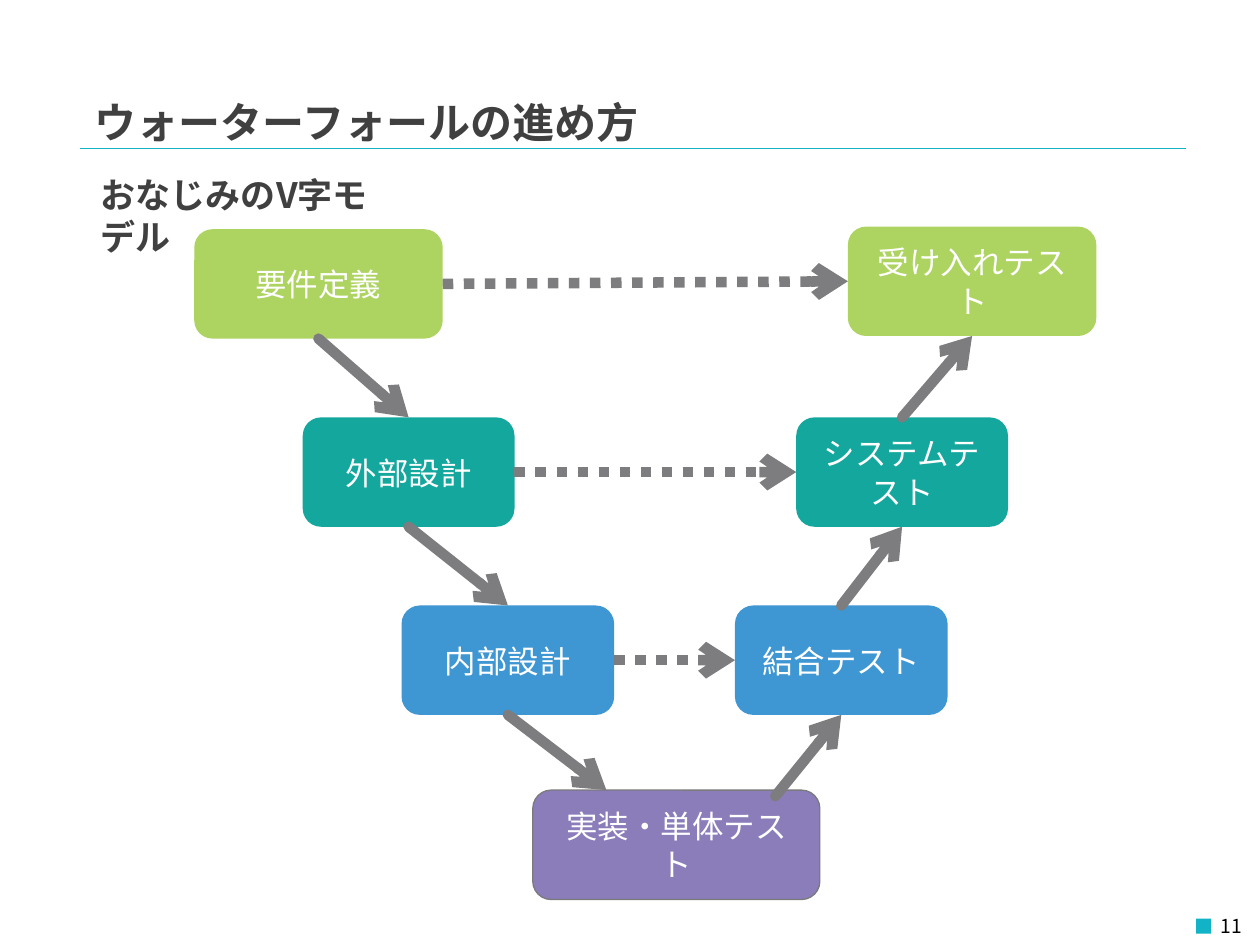
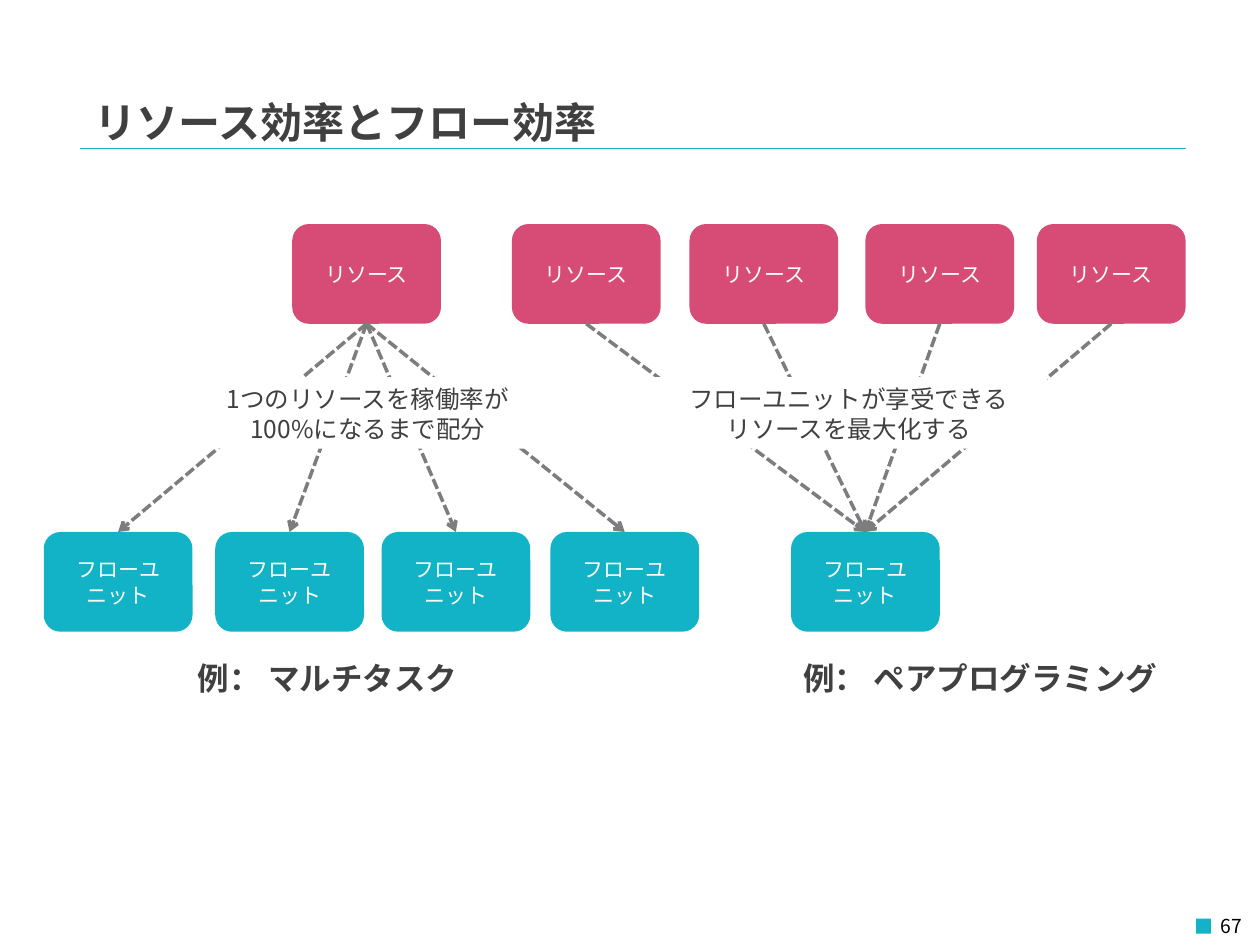
from collections import namedtuple
from dataclasses import dataclass

from lxml import etree
from pptx import Presentation
from pptx.dml.color import RGBColor
from pptx.enum.dml import MSO_LINE
from pptx.enum.shapes import MSO_CONNECTOR, MSO_SHAPE
from pptx.enum.text import MSO_ANCHOR, MSO_AUTO_SIZE, PP_ALIGN
from pptx.oxml.ns import qn
from pptx.util import Pt

LEFT, CENTER, RIGHT = PP_ALIGN.LEFT, PP_ALIGN.CENTER, PP_ALIGN.RIGHT
TOP_ANCHOR, MIDDLE_ANCHOR = MSO_ANCHOR.TOP, MSO_ANCHOR.MIDDLE
ROUNDED, RECTANGLE = MSO_SHAPE.ROUNDED_RECTANGLE, MSO_SHAPE.RECTANGLE
STRAIGHT = MSO_CONNECTOR.STRAIGHT
DOTTED, DASHED = MSO_LINE.ROUND_DOT, MSO_LINE.SQUARE_DOT
NO_AUTOFIT = MSO_AUTO_SIZE.NONE
TITLE_ONLY = 5
TOP_SITE, LEFT_SITE, BOTTOM_SITE, RIGHT_SITE = range(4)

Box = namedtuple("Box", "left top width height")


@dataclass(frozen=True)
class Theme:
    """Colours, fonts and type sizes shared by the slides."""

    accent: str = "12B3C7"
    text: str = "404040"
    number: str = "000000"
    white: str = "FFFFFF"
    arrow: str = "7D7D7F"
    outline: str = "7A7A7C"
    green: str = "ADD361"
    teal: str = "14A79D"
    blue: str = "3E96D2"
    purple: str = "8B7CBA"
    pink: str = "D74C77"
    heading_font: str = "Noto Sans CJK JP"
    body_font: str = "Noto Sans CJK KR"
    title_size: int = 24
    subtitle_size: int = 20
    large_size: int = 18
    note_size: int = 14
    small_size: int = 12
    number_size: int = 11
    line_height: float = 1.22


THEME = Theme()


def color(value):
    """Turn a hexadecimal string into a colour."""
    return RGBColor.from_string(value)


def lengths(box):
    """Turn a box in points into lengths."""
    return [Pt(value) for value in box]


def write(shape, text, size, fill, font, bold=False, align=LEFT, anchor=TOP_ANCHOR):
    """Put formatted text into a shape."""
    frame = shape.text_frame
    frame.text = text
    frame.word_wrap = True
    frame.auto_size = NO_AUTOFIT
    frame.vertical_anchor = anchor
    for paragraph in frame.paragraphs:
        paragraph.alignment = align
        paragraph.line_spacing = Pt(size * THEME.line_height)
        for run in paragraph.runs:
            run.font.size = Pt(size)
            run.font.bold = bold
            run.font.color.rgb = color(fill)
            run.font.name = font
            east_asian = etree.Element(qn("a:ea"), typeface=font)
            run.font._element.find(qn("a:latin")).addnext(east_asian)


def add_heading(slide, text, box, size):
    """Add a bold heading in a text box."""
    shape = slide.shapes.add_textbox(*lengths(box))
    write(shape, text, size, THEME.text, THEME.heading_font, bold=True)


def add_block(slide, kind, box, fill, outline=None):
    """Add a filled shape without a shadow."""
    shape = slide.shapes.add_shape(kind, *lengths(box))
    shape.shadow.inherit = False
    shape.fill.solid()
    shape.fill.fore_color.rgb = color(fill)
    if outline:
        shape.line.color.rgb = color(outline)
        shape.line.width = Pt(0.75)
    else:
        shape.line.fill.background()
    return shape


def add_card(slide, text, box, fill, size, outline=None):
    """Add a rounded card with centred white text."""
    card = add_block(slide, ROUNDED, box, fill, outline)
    write(card, text, size, THEME.white, THEME.body_font,
          align=CENTER, anchor=MIDDLE_ANCHOR)
    return card


def add_note(slide, text, box):
    """Add a white label that covers the arrows behind it."""
    note = add_block(slide, RECTANGLE, box, THEME.white)
    write(note, text, THEME.note_size, THEME.text, THEME.body_font, align=CENTER)


def add_line(slide, start, end, line_color, width):
    """Add a straight line without a shadow."""
    line = slide.shapes.add_connector(STRAIGHT, *lengths((*start, *end)))
    line.line.color.rgb = color(line_color)
    line.line.width = Pt(width)
    etree.SubElement(line._element.spPr, qn("a:effectLst"))
    return line


def add_arrow(slide, start, end, width, dash=None):
    """Add an arrow whose ends are points or (card, site) pairs."""
    points = [(0, 0) if hasattr(place[0], "shape_id") else place for place in (start, end)]
    arrow = add_line(slide, *points, THEME.arrow, width)
    if hasattr(start[0], "shape_id"):
        arrow.begin_connect(*start)
    if hasattr(end[0], "shape_id"):
        arrow.end_connect(*end)
    outline = arrow.line._get_or_add_ln()
    if dash:
        arrow.line.dash_style = dash
    else:
        outline.set("cap", "rnd")
    etree.SubElement(outline, qn("a:tailEnd"), type="arrow")


def add_frame(presentation, title, number):
    """Add a slide with its title, rule and page number."""
    slide = presentation.slides.add_slide(presentation.slide_layouts[TITLE_ONLY])
    add_line(slide, (45.5, 85), (677.5, 85), THEME.accent, 0.25)
    add_block(slide, RECTANGLE, Box(683.5, 525, 8.5, 8.5), THEME.accent)
    page = slide.shapes.add_textbox(*lengths(Box(617, 518.5, 100, 21.5)))
    write(page, number, THEME.number_size, THEME.number, THEME.heading_font, align=RIGHT)
    heading = slide.shapes.title
    heading.left, heading.top, heading.width, heading.height = lengths(Box(47, 51, 459, 28))
    write(heading, title, THEME.title_size, THEME.text, THEME.heading_font, bold=True)
    return slide


def add_v_model(slide, box):
    """Draw the V of design steps and the tests that answer them."""
    height, step = 62.5, 107.5
    levels = [
        ("要件定義", 0, "受け入れテスト", 373.5, 142, THEME.green, -1.5),
        ("外部設計", 62, "システムテスト", 344, 121, THEME.teal, 0),
        ("内部設計", 118.5, "結合テスト", 309, 121.5, THEME.blue, 0),
    ]
    designs, tests = [], []
    for index, (design, design_x, test, test_x, width, fill, lift) in enumerate(levels):
        top = box.top + index * step
        designs.append(add_card(slide, design, Box(box.left + design_x, top, width, height),
                                fill, THEME.large_size))
        tests.append(add_card(slide, test, Box(box.left + test_x, top + lift, width, height),
                              fill, THEME.large_size))
    base = Box(box.left + 193.5, box.top + box.height - height, 164, height)
    add_card(slide, "実装・単体テスト", base, THEME.purple, THEME.large_size, THEME.outline)

    for upper, lower in zip(designs, designs[1:]):
        add_arrow(slide, (upper, BOTTOM_SITE), (lower, TOP_SITE), 6)
    add_arrow(slide, (designs[-1], BOTTOM_SITE), (base.left + 42, base.top), 6)
    add_arrow(slide, (base.left + 138.5, base.top + 3.5), (tests[-1], BOTTOM_SITE), 6)
    for upper, lower in zip(tests, tests[1:]):
        add_arrow(slide, (lower, TOP_SITE), (upper, BOTTOM_SITE), 6)
    for design, test in zip(designs, tests):
        add_arrow(slide, (design, RIGHT_SITE), (test, LEFT_SITE), 6, DOTTED)


def add_fan(slide, box, resource_offsets, unit_offsets, note, note_span, caption, caption_offset):
    """Draw resources above flow units, all joined by dashed arrows."""
    width, height = 85, 57
    rows = [
        ("リソース", resource_offsets, box.top, THEME.pink),
        ("フローユニット", unit_offsets, box.top + 176, THEME.accent),
    ]
    resources, units = [
        [add_card(slide, text, Box(box.left + offset, top, width, height), fill, THEME.small_size)
         for offset in offsets]
        for text, offsets, top, fill in rows
    ]
    for resource in resources:
        for unit in units:
            add_arrow(slide, (resource, BOTTOM_SITE), (unit, TOP_SITE), 2, DASHED)
    note_offset, note_width = note_span
    add_note(slide, note, Box(box.left + note_offset, box.top + 87.5, note_width, 41))
    add_heading(slide, caption, Box(box.left + caption_offset, box.top + 244.5, 259, 28),
                THEME.large_size)


def build_waterfall(presentation):
    """Build the slide on the waterfall process."""
    slide = add_frame(presentation, "ウォーターフォールの進め方", "11")
    add_v_model(slide, Box(111, 131, 515.5, 383))
    add_heading(slide, "おなじみのV字モデル", Box(50.5, 95, 185, 32), THEME.subtitle_size)


def build_efficiency(presentation):
    """Build the slide on resource and flow efficiency."""
    slide = add_frame(presentation, "リソース効率とフロー効率", "67")
    add_fan(slide, Box(25, 128, 374.5, 273), [142], [0, 98, 193, 289.5],
            "1つのリソースを稼働率が\n100%になるまで配分", (86, 198.5),
            "例： マルチタスク", 81)
    add_fan(slide, Box(292.5, 128, 385, 273), [0, 101.5, 202, 300], [159.5],
            "フローユニットが享受できる\nリソースを最大化する", (79, 227),
            "例： ペアプログラミング", 159.5)


def main():
    """Build and save the presentation."""
    presentation = Presentation()
    presentation.slide_width, presentation.slide_height = Pt(720), Pt(540)
    build_waterfall(presentation)
    build_efficiency(presentation)
    presentation.save("out.pptx")


if __name__ == "__main__":
    main()
